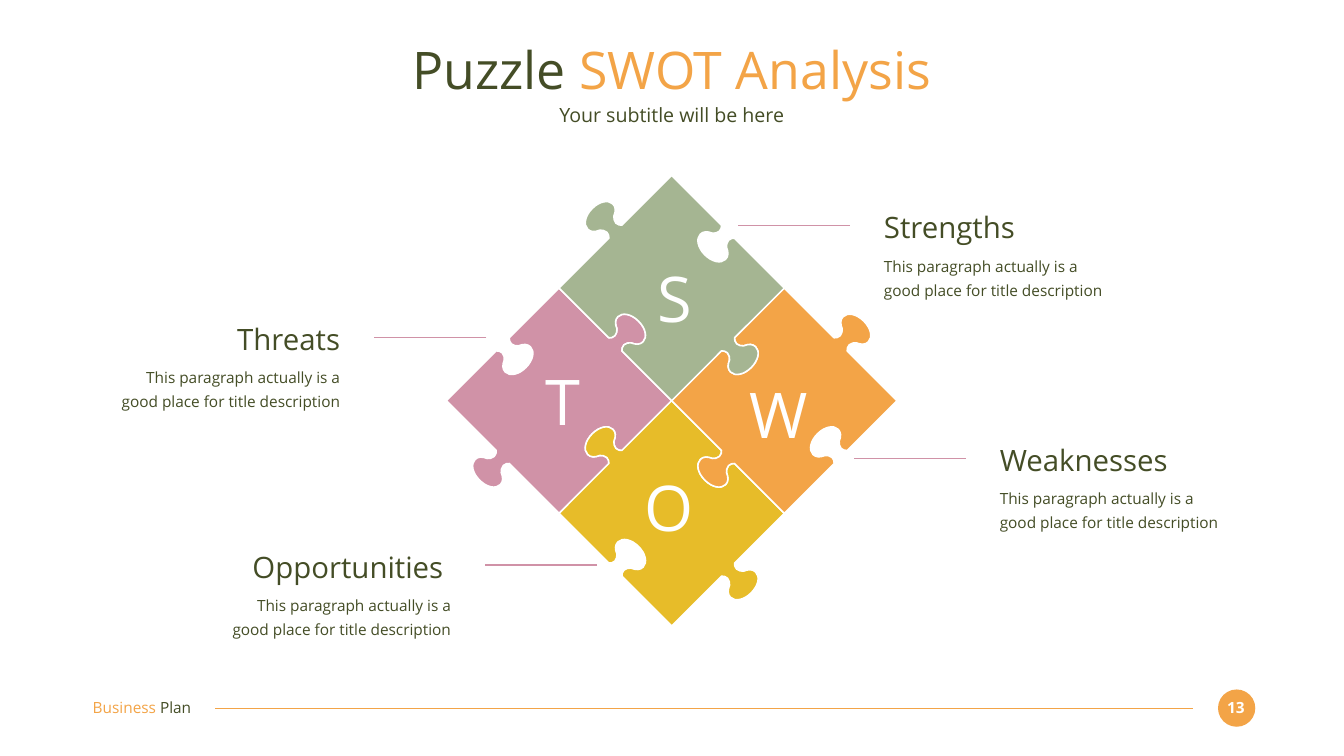
from pptx import Presentation, util as u
from pptx.dml.color import RGBColor
from pptx.enum import shapes as sh, text as tx
from pptx.oxml.ns import qn
from lxml import etree

DARK = RGBColor(0x44, 0x4D, 0x26)
ORANGE = RGBColor(0xF3, 0xA4, 0x47)
PINK = RGBColor(0xD0, 0x92, 0xA7)
GOLD = RGBColor(0xE7, 0xBC, 0x29)
GREEN = RGBColor(0xA5, 0xB5, 0x92)
WHITE = RGBColor(0xFF, 0xFF, 0xFF)

LEFT, MID, RIGHT = tx.PP_ALIGN.LEFT, tx.PP_ALIGN.CENTER, tx.PP_ALIGN.RIGHT
NOTE = "This paragraph actually is a good place for title description"

# Half of a puzzle knob as Bezier points: real part along the edge,
# imaginary part outward. The other half is its mirror image.
HALF = [-.13, -.11 + .01j, -.09 + .05j, -.09 + .08j, -.09 + .12j,
        -.12 + .15j, -.14 + .17j, -.21 + .2j, -.25 + .24j, -.25 + .3j,
        -.25 + .39j, -.14 + .46j, .46j]
KNOB = HALF + [-p.conjugate() for p in reversed(HALF[:-1])]


def label(slide, box, runs, size, align=LEFT, gap=None, bold=False):
    """Add one paragraph made of (wording, colour) runs."""
    frame = slide.shapes.add_textbox(*map(u.Inches, box)).text_frame
    look = dict(word_wrap=True, vertical_anchor=tx.MSO_ANCHOR.MIDDLE,
                margin_left=0, margin_right=0, margin_top=0, margin_bottom=0)
    for key, val in look.items():
        setattr(frame, key, val)
    para = frame.paragraphs[0]
    para.alignment = align
    if gap:
        para.line_spacing = gap
    for words, color in runs:
        run = para.add_run()
        run.text = words
        for key, val in dict(name="Open Sans", size=u.Pt(size), bold=bold).items():
            setattr(run.font, key, val)
        run.font.color.rgb = color


def rule(slide, start, end, y, color):
    line = slide.shapes.add_connector(
        sh.MSO_CONNECTOR.STRAIGHT, *map(u.Inches, (start, y, end, y)))
    line.line.color.rgb = color
    line.line.width = u.Pt(1.5)
    etree.SubElement(line._element.spPr, qn("a:effectLst"))


def bend(shape):
    """Join each three line segments of a knob into one Bezier curve."""
    lines = list(shape._element.spPr.iter(qn("a:lnTo")))
    for edge in range(0, len(lines), len(KNOB) + 1):
        for i in range(edge + 1, edge + len(KNOB), 3):
            first, *rest = lines[i:i + 3]
            first.tag = qn("a:cubicBezTo")
            for line in rest:
                first.append(line[0])
                line.getparent().remove(line)


def piece(group, mid, half, side, color):
    """Draw a diamond whose knobs alternate out (1) and in (-1), first as side."""
    dots = []
    for k in range(4):
        start, end = (mid + half * (-1j) ** n for n in (k + 1, k + 2))
        edge, center = (end - start) / half, (start + end) / 2
        flip = side * (-1) ** k
        dots.append(start)
        dots += [center + edge * complex(p.real, flip * p.imag) for p in KNOB]
    spots = [(u.Inches(p.real), u.Inches(p.imag)) for p in dots]
    pen = group.shapes.build_freeform(*spots[0])
    pen.add_line_segments(spots[1:], close=True)
    shape = pen.convert_to_shape()
    bend(shape)
    shape.shadow.inherit = False
    shape.fill.solid()
    shape.fill.fore_color.rgb = color
    shape.line.color.rgb = WHITE
    shape.line.width = u.Pt(2.25)


def puzzle(slide, x, y, size):
    mid, half = complex(x + size / 2, y + size / 2), size / 4
    group = slide.shapes.add_group_shape()
    for way, side, color in ((-1, -1, PINK), (1j, 1, GOLD),
                             (1, -1, ORANGE), (-1j, 1, GREEN)):
        piece(group, mid + half * way, half, side, color)
    for letter, dx, dy in (("W", 5.54, 3.96), ("S", 3.49, 1.66),
                           ("T", 1.26, 3.71), ("O", 3.36, 5.82)):
        label(slide, (x + dx, y + dy, 2.1, 1.51), [(letter, WHITE)], 90, MID)


def callout(slide, x, y, head, align):
    """Place a heading and note, with a rule on the side facing the puzzle."""
    wide, gap, length = 4.54, .68, 2.22
    label(slide, (x, y, wide, .71), [(head, DARK)], 42, align)
    label(slide, (x, y + .85, wide, .92), [(NOTE, DARK)], 22, align, 1.3)
    start = x - gap if align == LEFT else x + wide + gap + length
    rule(slide, start, start - length, y + .33, PINK)


def header(slide, x, y, wide):
    label(slide, (x, y, wide, 1.27),
          [("Puzzle ", DARK), ("SWOT Analysis", ORANGE)], 74, MID)
    label(slide, (x, y + 1.3, wide, .49),
          [("Your subtitle will be here", DARK)], 28, MID)


def footer(slide, x, y):
    disc = slide.shapes.add_shape(
        sh.MSO_SHAPE.OVAL, *map(u.Inches, (x + 22.33, y, .74, .74)))
    disc.shadow.inherit = False
    disc.fill.solid()
    disc.fill.fore_color.rgb = ORANGE
    disc.line.fill.background()
    label(slide, (x + 22.39, y + .17, .59, .37), [("13", WHITE)], 22, MID, bold=True)
    rule(slide, x + 21.83, x + 2.43, y + .37, ORANGE)
    label(slide, (x, y + .16, 2.59, .37),
          [("Business ", ORANGE), ("Plan", DARK)], 22)


def main():
    deck = Presentation()
    deck.slide_width, deck.slide_height = u.Inches(26.67), u.Inches(15)
    slide = deck.slides.add_slide(deck.slide_layouts[6])
    footer(slide, 1.84, 13.68)
    header(slide, 1.83, .73, 23)
    puzzle(slide, 8.86, 3.48, 8.94)
    for spot in ((2.21, 6.36, "Threats", RIGHT),
                 (4.41, 10.88, "Opportunities ", RIGHT),
                 (17.54, 4.15, "Strengths", LEFT),
                 (19.84, 8.76, "Weaknesses", LEFT)):
        callout(slide, *spot)
    deck.save("out.pptx")


if __name__ == "__main__":
    main()
